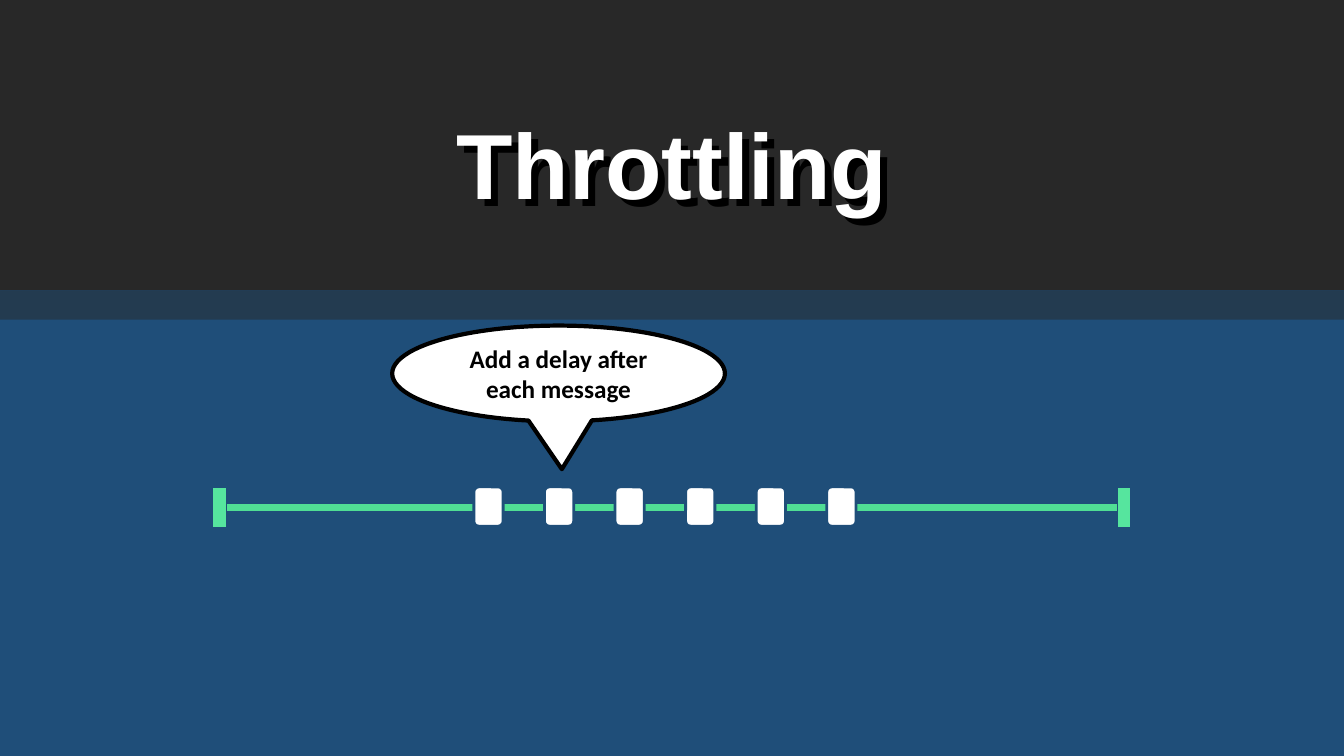
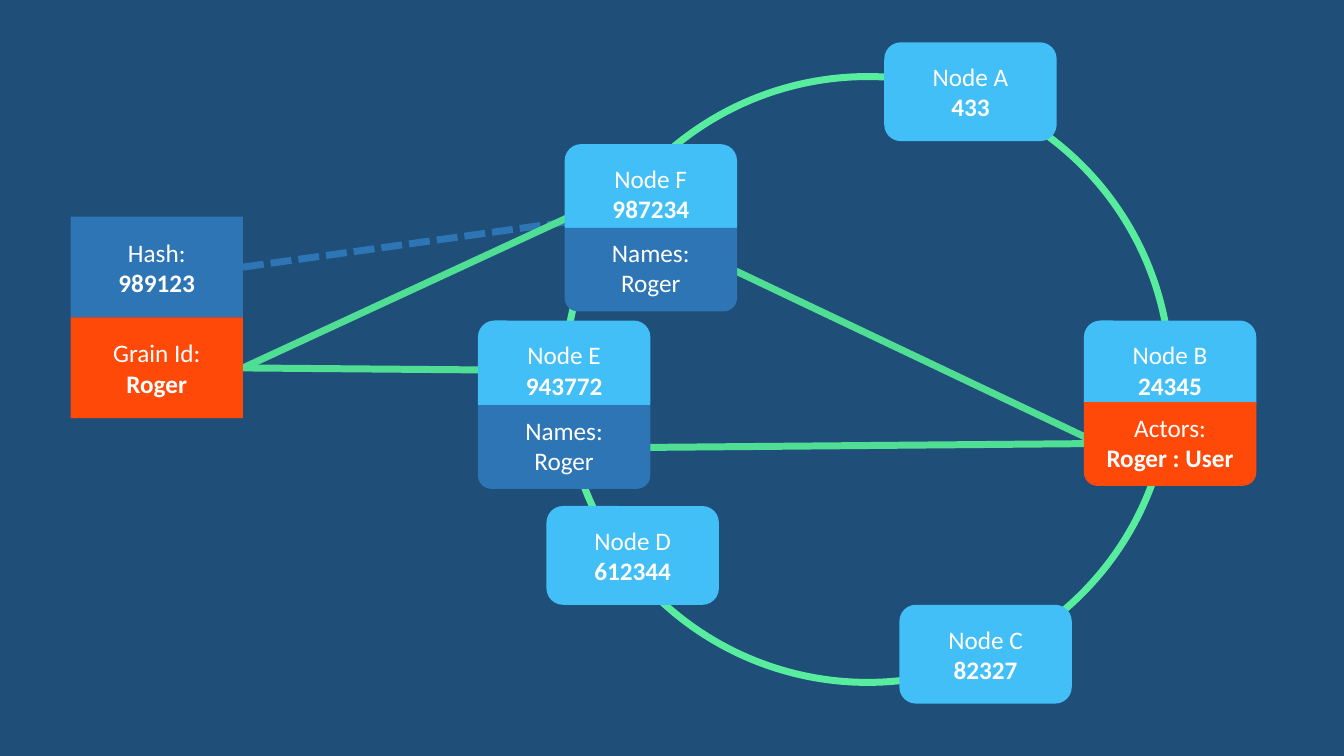
from lxml import etree
from pptx import Presentation
from pptx.dml.color import RGBColor
from pptx.enum import dml, shapes, text
from pptx.oxml import ns
from pptx.util import Inches, Pt

COLORS = {
    "navy": "1F4E79", "charcoal": "282828", "slate": "233B50",
    "white": "FFFFFF", "black": "000000",
    "green": "50DE94", "cap": "56E59E", "ring": "58EC9F",
    "sky": "43BFF7", "blue": "2E75B6", "orange": "FF4909",
}
KIND = shapes.MSO_SHAPE

# Throttling slide
TITLE = "Throttling"
BANDS = [("charcoal", 0, 2.88), ("slate", 2.88, 0.29)]  # colour, top, height
CAP_LEFTS = (2.11, 11.08)
PACKET_COUNT, PACKET_LEFT, PACKET_STEP = 6, 4.7, 0.7
CALLOUT = "Add a delay after each message"

# Hash ring slide
BOX_WIDTH, NODE_HEIGHT, PANEL_HEIGHT, KEY_HEIGHT = 1.71, 0.98, 0.83, 1
NODES = [  # name, hash, left, top
    ("Node A", "433", 8.77, 0.42),
    ("Node B", "24345", 10.75, 3.18),
    ("Node C", "82327", 8.92, 6),
    ("Node E", "943772", 4.74, 3.18),
    ("Node D", "612344", 5.42, 5.02),
    ("Node F", "987234", 5.6, 1.43),
]
KEYS = [  # label, value, colour, top
    ("Hash:", "989123", "blue", 2.15),
    ("Grain Id:", "Roger", "orange", 3.15),
]
PANELS = [  # lines, colour, left, top
    (["Names:\vRoger"], "blue", 4.74, 4.02),
    (["Names:\vRoger"], "blue", 5.6, 2.26),
    (["Actors:", "Roger : User"], "orange", 10.75, 3.99),
]
LINKS = [  # start, end, colour; an end is a point or a (box, side) pair
    ((7.09, 2.59), (10.94, 4.42), "green"),
    ((6.3, 4.44), (10.89, 4.4), "green"),
    (("Hash:", 3), (6.06, 2.14), "blue"),
    (("Grain Id:", 3), ("Node E", 1), "green"),
    (("Grain Id:", 3), (5.65, 2.15), "green"),
]


def rgb(name):
    return RGBColor.from_string(COLORS[name])


def add_shape(owner, kind, place, fill=None, line=None, width=1):
    shape = owner.shapes.add_shape(kind, *map(Inches, place))
    shape.shadow.inherit = False
    if fill:
        shape.fill.solid()
        shape.fill.fore_color.rgb = rgb(fill)
    else:
        shape.fill.background()
    if line:
        shape.line.color.rgb = rgb(line)
        shape.line.width = Pt(width)
    else:
        shape.line.fill.background()
    return shape


def write(shape, lines, color="white", bold_from=1):
    """Centre the lines in the shape, bold from the given line on."""
    frame = shape.text_frame
    frame.word_wrap = True
    frame.vertical_anchor = text.MSO_ANCHOR.MIDDLE
    for i, line in enumerate(lines):
        para = frame.add_paragraph() if i else frame.paragraphs[0]
        para.text = line
        para.alignment = text.PP_ALIGN.CENTER
        font = para.font
        font.name, font.size, font.bold = "Calibri", Pt(18), i >= bold_from
        font.color.rgb = rgb(color)


def add_line(owner, start, end, color, boxes):
    """Draw a straight line; an end whose first item names a box is joined."""
    line = owner.shapes.add_connector(shapes.MSO_CONNECTOR.STRAIGHT, 0, 0, 0, 0)
    joined = [item[0] in boxes for item in (start, end)]
    if joined[0]:
        line.begin_connect(boxes[start[0]], start[1])
    else:
        line.begin_x, line.begin_y = map(Inches, start)
    if joined[1]:
        line.end_connect(boxes[end[0]], end[1])
    else:
        line.end_x, line.end_y = map(Inches, end)
    line.line.color.rgb = rgb(color)
    line.line.width = Pt(5)
    etree.SubElement(line._element.spPr, ns.qn("a:effectLst"))
    return line


def add_title(page):
    title = page.shapes.title
    title.left, title.top, title.width, title.height = map(
        Inches, (0, 1.01, 13.33, 1.21))
    frame = title.text_frame
    frame.text = TITLE
    frame.auto_size = text.MSO_AUTO_SIZE.NONE
    frame.vertical_anchor = text.MSO_ANCHOR.TOP
    para = frame.paragraphs[0]
    para.alignment = text.PP_ALIGN.CENTER
    font = para.font
    font.name, font.size, font.bold = "Arial", Pt(66), True
    font.color.rgb = rgb("white")
    title.fill.background()
    effects = etree.SubElement(title._element.spPr, ns.qn("a:effectLst"))
    shadow = etree.SubElement(effects, ns.qn("a:outerShdw"), blurRad="0",
                              dist=str(Inches(0.1)), dir="2700000",
                              algn="tl", rotWithShape="0")
    etree.SubElement(shadow, ns.qn("a:srgbClr"), val=COLORS["black"])
    page.shapes._spTree.append(title._element)  # in front of the bands


def build_throttling(deck):
    page = deck.slides.add_slide(deck.slide_layouts[5])
    for color, top, height in BANDS:
        add_shape(page, KIND.RECTANGLE, (0, top, 13.33, height), color)
    add_title(page)

    track = page.shapes.add_group_shape()
    caps = {
        i: add_shape(track, KIND.RECTANGLE, (left, 4.83, 0.14, 0.41),
                     "cap", "navy")
        for i, left in enumerate(CAP_LEFTS)
    }
    add_line(track, (0, 3), (1, 1), "green", caps)

    packets = page.shapes.add_group_shape()
    for i in range(PACKET_COUNT):
        left = PACKET_LEFT + i * PACKET_STEP
        add_shape(packets, KIND.ROUNDED_RECTANGLE, (left, 4.83, 0.29, 0.39),
                  "white", "navy", 2)

    callout = add_shape(page, KIND.OVAL_CALLOUT, (3.89, 3.23, 3.3, 0.95),
                        "white", "black", 3)
    callout.adjustments[0], callout.adjustments[1] = 0.01, 1
    write(callout, [CALLOUT], "black", bold_from=0)


def build_ring(deck):
    page = deck.slides.add_slide(deck.slide_layouts[6])
    add_shape(page, KIND.OVAL, (5.6, 0.76, 6.01, 6.01), line="ring", width=5)

    boxes = {}
    for name, number, left, top in NODES:
        boxes[name] = add_shape(page, KIND.ROUNDED_RECTANGLE,
                                (left, top, BOX_WIDTH, NODE_HEIGHT), "sky")
        write(boxes[name], [name, number])
    for label, value, color, top in KEYS:
        boxes[label] = add_shape(page, KIND.RECTANGLE,
                                 (0.7, top, BOX_WIDTH, KEY_HEIGHT), color)
        write(boxes[label], [label, value])
    for lines, color, left, top in PANELS:
        panel = add_shape(page, KIND.ROUND_2_SAME_RECTANGLE,
                          (left, top, BOX_WIDTH, PANEL_HEIGHT), color)
        panel.adjustments[0], panel.adjustments[1] = 0, 0.16
        write(panel, lines)

    for i, (start, end, color) in enumerate(LINKS):
        link = add_line(page, start, end, color, boxes)
        if color == "blue":
            link.line.dash_style = dml.MSO_LINE.SQUARE_DOT
        page.shapes._spTree.insert(2 + i, link._element)  # behind the boxes


def main():
    deck = Presentation()
    deck.slide_width, deck.slide_height = Inches(13.33), Inches(7.5)
    backdrop = deck.slide_master.background.fill
    backdrop.solid()
    backdrop.fore_color.rgb = rgb("navy")
    build_throttling(deck)
    build_ring(deck)
    deck.save("out.pptx")


if __name__ == "__main__":
    main()
